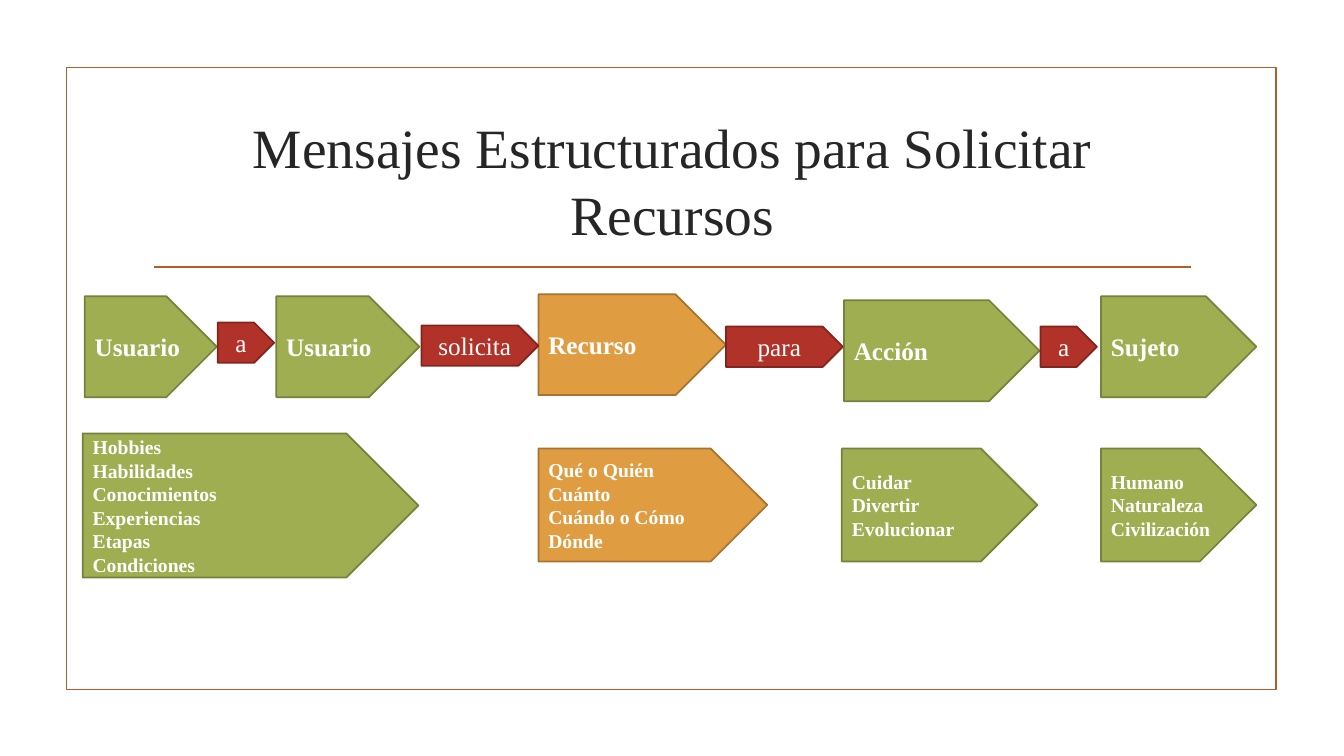
from dataclasses import dataclass

from pptx import Presentation
from pptx.dml.color import RGBColor
from pptx.enum.shapes import MSO_CONNECTOR as Connector, MSO_SHAPE as Preset
from pptx.enum.text import MSO_ANCHOR as Anchor, PP_ALIGN as Align
from pptx.oxml.ns import qn
from pptx.util import Inches, Pt
from lxml.etree import SubElement


@dataclass(frozen=True)
class Theme:
    font: str = "Times New Roman"
    ink: str = "262626"
    light: str = "FFFFFF"
    rule: str = "B15E28"
    green: tuple = ("9EAE51", "75813C")
    orange: tuple = ("E09C41", "A67330")
    red: tuple = ("B13228", "83251E")
    title_size: float = 39.6
    step_size: int = 18
    detail_size: int = 14
    line_width: float = 1.25


class SlideBuilder:
    def __init__(self, page, theme):
        self.page = page
        self.theme = theme

    def outline(self, line, color):
        line.color.rgb = RGBColor.from_string(color)
        line.width = Pt(self.theme.line_width)

    def set_text(self, text_frame, text, size, color, align, bold=False):
        text_frame.word_wrap = True
        text_frame.vertical_anchor = Anchor.MIDDLE
        text_frame.text = text
        for para in text_frame.paragraphs:
            para.alignment = align
            for span in para.runs:
                span.font.name = self.theme.font
                span.font.size = Pt(size)
                span.font.bold = bold
                span.font.color.rgb = RGBColor.from_string(color)

    def frame(self, left, top, width, height):
        border = self.page.shapes.add_shape(
            Preset.RECTANGLE, Inches(left), Inches(top), Inches(width), Inches(height))
        border.shadow.inherit = False
        border.fill.background()
        self.outline(border.line, self.theme.rule)

    def divider(self, start, end, top):
        rule = self.page.shapes.add_connector(
            Connector.STRAIGHT, Inches(start), Inches(top), Inches(end), Inches(top))
        self.outline(rule.line, self.theme.rule)
        SubElement(rule.element.spPr, qn("a:effectLst"))

    def title(self, text, left, top, width, height):
        box = self.page.shapes.add_textbox(
            Inches(left), Inches(top), Inches(width), Inches(height))
        self.set_text(box.text_frame, text, self.theme.title_size, self.theme.ink, Align.CENTER)

    def arrow(self, text, left, top, width, height, colors, size, align=Align.LEFT, bold=True):
        fill, edge = colors
        box = self.page.shapes.add_shape(
            Preset.PENTAGON, Inches(left), Inches(top), Inches(width), Inches(height))
        box.shadow.inherit = False
        box.fill.solid()
        box.fill.fore_color.rgb = RGBColor.from_string(fill)
        self.outline(box.line, edge)
        self.set_text(box.text_frame, text, size, self.theme.light, align, bold)

    def step(self, text, left, top, width, colors):
        self.arrow(text, left, top, width, 1, colors, self.theme.step_size)

    def link(self, text, left, top, width):
        self.arrow(text, left, top, width, 0.4, self.theme.red,
                   self.theme.step_size, Align.CENTER, False)

    def details(self, items, left, top, width, height, colors):
        self.arrow("\n".join(items), left, top, width, height, colors, self.theme.detail_size)


def main():
    deck = Presentation()
    deck.slide_width, deck.slide_height = Inches(13.33), Inches(7.5)
    theme = Theme()
    builder = SlideBuilder(deck.slides.add_slide(deck.slide_layouts[6]), theme)

    builder.frame(0.66, 0.67, 12, 6.17)
    builder.divider(1.53, 11.81, 2.65)
    builder.title("Mensajes Estructurados para Solicitar Recursos", 1.42, 1.07, 10.5, 1.43)

    details = [
        (("Hobbies", "Habilidades", "Conocimientos", "Experiencias", "Etapas", "Condiciones"),
         0.82, 4.3, 3.33, 1.43, theme.green),
        (("Qué o Quién", "Cuánto", "Cuándo o Cómo", "Dónde"),
         5.34, 4.45, 2.27, 1.12, theme.orange),
        (("Cuidar", "Divertir", "Evolucionar"), 8.35, 4.45, 1.94, 1.12, theme.green),
        (("Humano", "Naturaleza", "Civilización"), 10.92, 4.45, 1.54, 1.12, theme.green),
    ]
    for detail in details:
        builder.details(*detail)

    steps = [
        ("Usuario", 0.84, 2.94, 1.31, theme.green),
        ("Usuario", 2.74, 2.94, 1.42, theme.green),
        ("Recurso", 5.34, 2.92, 1.86, theme.orange),
        ("Acción", 8.37, 2.98, 1.94, theme.green),
        ("Sujeto", 10.92, 2.94, 1.54, theme.green),
    ]
    for step in steps:
        builder.step(*step)

    links = [
        ("a", 2.16, 3.2, 0.56),
        ("solicita", 4.18, 3.23, 1.16),
        ("para", 7.2, 3.24, 1.16),
        ("a", 10.32, 3.24, 0.56),
    ]
    for link in links:
        builder.link(*link)

    deck.save("out.pptx")


if __name__ == "__main__":
    main()
